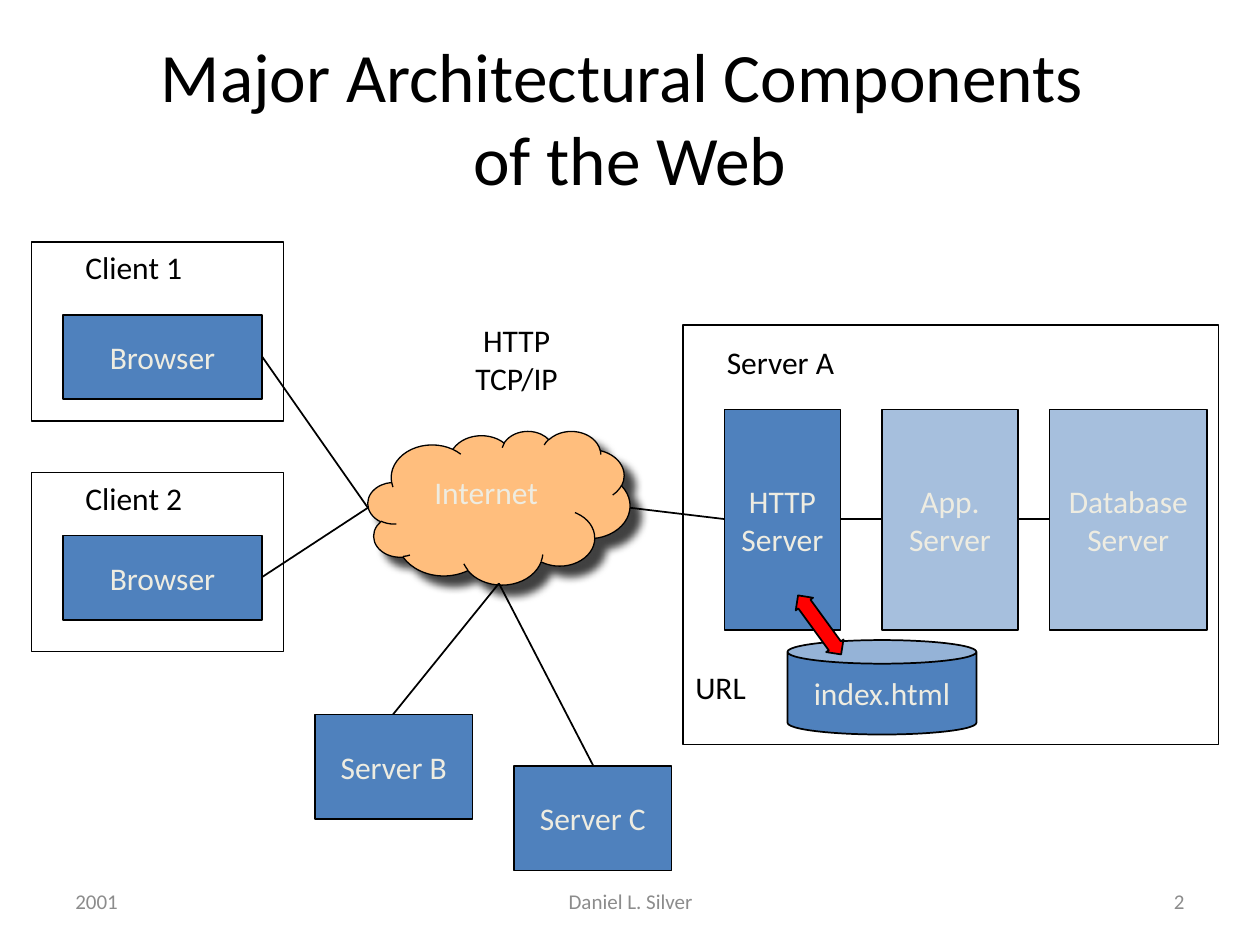
"""Build a slide showing the major architectural components of the Web."""
from dataclasses import dataclass

import lxml.etree
import pptx
import pptx.dml.color
import pptx.enum.shapes
import pptx.enum.text
import pptx.oxml
import pptx.oxml.ns
import pptx.util

Inches = pptx.util.Inches
Pt = pptx.util.Pt
RGB = pptx.dml.color.RGBColor.from_string
MSO = pptx.enum.shapes.MSO_SHAPE
ALIGN = pptx.enum.text.PP_ALIGN
ANCHOR = pptx.enum.text.MSO_ANCHOR
qn = pptx.oxml.ns.qn


@dataclass(frozen=True)
class Theme:
    font: str = "Calibri"
    ink: str = "000000"
    light: str = "EEECE1"
    muted: str = "8C8C8C"
    box: str = "4F81BD"
    cloud: str = "FFBE7D"
    arrow: str = "FF0000"
    title: float = 39.6
    body: float = 18
    footer: float = 12


T = Theme()


def write(sp, text, size=T.body, color=T.ink, align=ALIGN.LEFT, anchor=ANCHOR.TOP):
    tf = sp.text_frame
    tf.word_wrap = True
    tf.vertical_anchor = anchor
    for i, line in enumerate(text.split("\n")):
        p = tf.add_paragraph() if i else tf.paragraphs[0]
        p.text = line
        p.alignment = align
        for r in p.runs:
            r.font.name = T.font
            r.font.size = Pt(size)
            r.font.color.rgb = RGB(color)


def draw(kind, box, fill=None, line=1):
    sp = s.shapes.add_shape(kind, *map(Inches, box))
    sp.shadow.inherit = False
    sp.line.color.rgb = RGB(T.ink)
    sp.line.width = Pt(line)
    if fill:
        sp.fill.solid()
        sp.fill.fore_color.rgb = RGB(fill)
    else:
        sp.fill.background()
    return sp


prs = pptx.Presentation()
prs.slide_width, prs.slide_height = Inches(10), Inches(7.5)
s = prs.slides.add_slide(prs.slide_layouts[5])

title = s.shapes.title
title.left, title.top, title.width, title.height = map(Inches, (0.5, 0.3, 9, 1.25))
write(title, "Major Architectural Components \vof the Web", size=T.title,
      align=ALIGN.CENTER, anchor=ANCHOR.MIDDLE)

footers = [
    ("2001", 0.5, 2.33, ALIGN.LEFT),
    ("Daniel L. Silver", 3.42, 3.17, ALIGN.CENTER),
    ("2", 7.17, 2.33, ALIGN.RIGHT),
]
for text, x, w, align in footers:
    sp = s.shapes.add_textbox(Inches(x), Inches(6.95), Inches(w), Inches(0.4))
    write(sp, text, size=T.footer, color=T.muted, align=align, anchor=ANCHOR.MIDDLE)

cloud = draw(MSO.CLOUD, (2.92, 3.42, 2.08, 1.22), T.cloud, line=0.75)
write(cloud, "Internet", color=T.light)
cloud.text_frame.margin_left, cloud.text_frame.margin_top = Inches(0.24), Inches(0.15)
shadow = lxml.etree.SubElement(
    cloud._element.spPr.find(qn("a:effectLst")), qn("a:outerShdw"),
    blurRad=str(Pt(5)), dist=str(Pt(8.5)), dir=str(45 * 60000), algn="ctr", rotWithShape="0")
shade = lxml.etree.SubElement(shadow, qn("a:srgbClr"), val=T.ink)
lxml.etree.SubElement(shade, qn("a:alpha"), val="75000")

for frame in [(0.25, 1.92, 2, 1.42), (0.25, 3.75, 2, 1.42), (5.42, 2.58, 4.25, 3.33)]:
    draw(MSO.RECTANGLE, frame)

nodes = [
    ("Browser", MSO.RECTANGLE, (0.5, 2.5, 1.58, 0.67), 100),
    ("Browser", MSO.RECTANGLE, (0.5, 4.25, 1.58, 0.67), 100),
    ("Server B", MSO.RECTANGLE, (2.5, 5.67, 1.25, 0.83), 100),
    ("Server C", MSO.RECTANGLE, (4.08, 6.08, 1.25, 0.83), 100),
    ("HTTP\nServer", MSO.RECTANGLE, (5.75, 3.25, 0.92, 1.75), 100),
    ("App.\nServer", MSO.RECTANGLE, (7, 3.25, 1.08, 1.75), 50),
    ("Database\nServer", MSO.RECTANGLE, (8.33, 3.25, 1.25, 1.75), 50),
    ("index.html", MSO.CAN, (6.25, 5.08, 1.5, 0.75), 100),
]
for text, kind, box, opacity in nodes:
    sp = draw(kind, box, T.box)
    write(sp, text, color=T.light, align=ALIGN.CENTER, anchor=ANCHOR.MIDDLE)
    if opacity < 100:
        clr = sp._element.spPr.find(qn("a:solidFill")).find(qn("a:srgbClr"))
        lxml.etree.SubElement(clr, qn("a:alpha"), val=str(opacity * 1000))

links = [
    (2.08, 2.83, 2.92, 4.03),
    (2.08, 4.58, 2.92, 4.03),
    (5, 4.03, 5.75, 4.12),
    (6.67, 4.12, 7, 4.12),
    (8.08, 4.12, 8.33, 4.12),
    (3.12, 5.67, 3.96, 4.63),
    (4.71, 6.08, 3.96, 4.63),
]
for link in links:
    ln = s.shapes.add_connector(pptx.enum.shapes.MSO_CONNECTOR.STRAIGHT, *map(Inches, link))
    ln.line.color.rgb = RGB(T.ink)
    ln.line.width = Pt(1)
    lxml.etree.SubElement(ln._element.spPr, qn("a:effectLst"))

labels = [
    ("Client 1", (0.58, 1.92, 1.26, 0.5), ALIGN.LEFT),
    ("Client 2", (0.58, 3.75, 1.26, 0.5), ALIGN.LEFT),
    ("Server A", (5.67, 2.67, 1.4, 0.5), ALIGN.LEFT),
    ("URL", (5.42, 5.25, 0.87, 0.5), ALIGN.LEFT),
    ("HTTP\nTCP/IP", (3.5, 2.5, 1.2, 0.9), ALIGN.CENTER),
]
for text, box, align in labels:
    write(s.shapes.add_textbox(*map(Inches, box)), text, align=align)

arrow = draw(MSO.UP_DOWN_ARROW, (6.42, 4.67, 0.17, 0.58), T.arrow)
arrow.adjustments[0], arrow.adjustments[1] = 0.5, 0.7
arrow.rotation = 323.9

prs.save("out.pptx")
